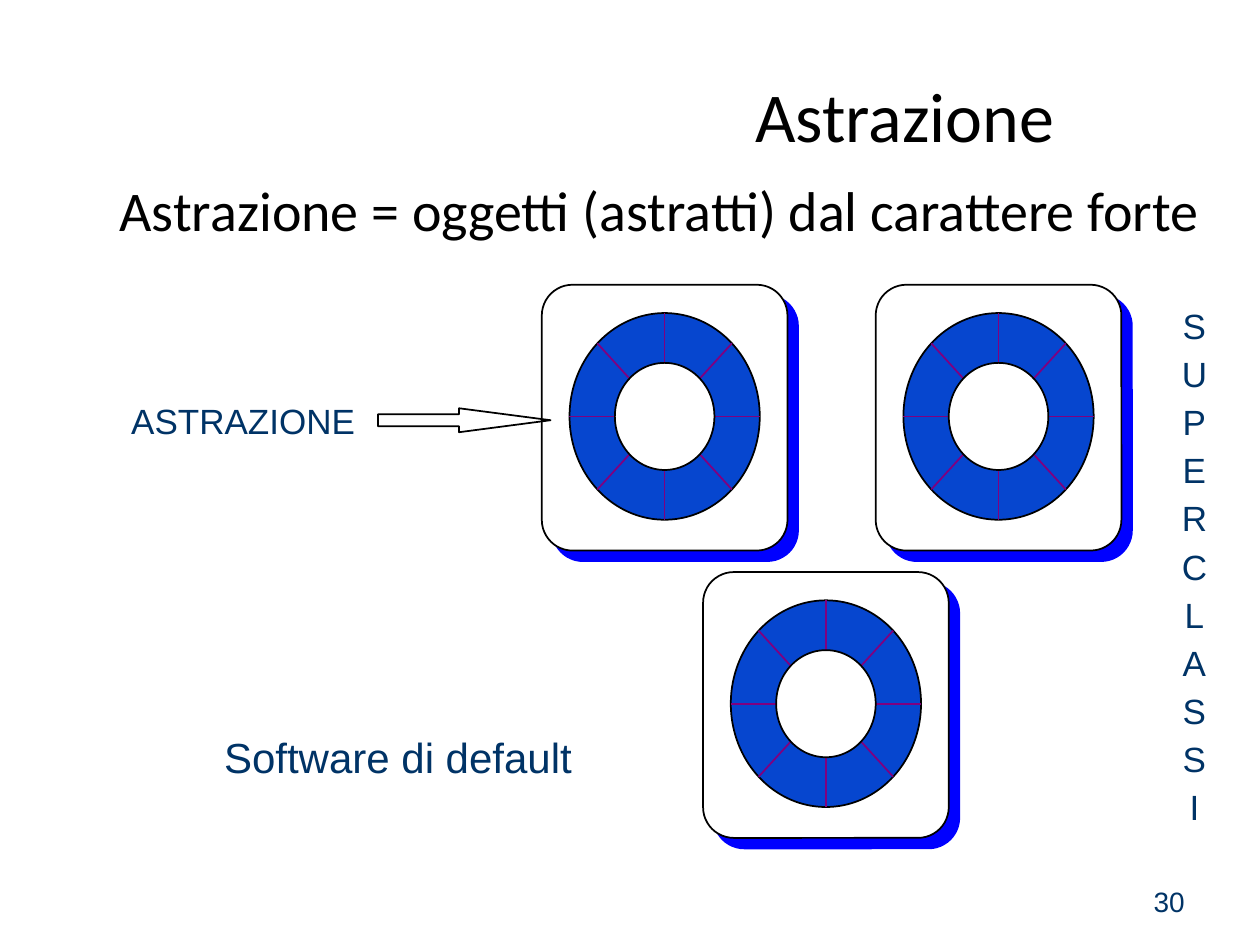
from math import cos, pi, sin

from lxml.etree import SubElement
from pptx import Presentation
from pptx.dml.color import RGBColor
from pptx.enum.shapes import MSO_CONNECTOR, MSO_SHAPE
from pptx.enum.text import MSO_ANCHOR, PP_ALIGN
from pptx.oxml.ns import qn
from pptx.util import Inches, Pt

COLORS = {
    "black": "000000",
    "white": "FFFFFF",
    "navy": "003366",
    "ring": "0646CF",
    "spoke": "800080",
    "shadow": "0000FF",
}
CARD_W, CARD_H = 1.95, 2.11
OUTER_RX, OUTER_RY = 0.755, 0.82
INNER_RX, INNER_RY = 0.395, 0.425
CARD_CORNERS = [(4.3, 2.26), (6.95, 2.26), (5.58, 4.54)]


def rgb(name):
    return RGBColor.from_string(COLORS[name])


def write(frame, lines, size, color="navy", font="Arial",
          align=PP_ALIGN.LEFT, line_spacing=None, gap=0):
    """Fill a text frame, one paragraph per line."""
    frame.word_wrap = True
    for index, line in enumerate(lines):
        paragraph = frame.paragraphs[0] if index == 0 else frame.add_paragraph()
        paragraph.alignment = align
        paragraph.line_spacing = line_spacing
        paragraph.space_before = Pt(gap if index else 0)
        run = paragraph.add_run()
        run.text = line
        run.font.name = font
        run.font.size = Pt(size)
        run.font.color.rgb = rgb(color)


def add_label(slide, box, lines, size, anchor=MSO_ANCHOR.TOP, **style):
    frame = slide.shapes.add_textbox(*map(Inches, box)).text_frame
    frame.vertical_anchor = anchor
    write(frame, lines, size, **style)


def add_outlined(shapes, kind, box, fill=None):
    """Add a preset shape with a thin black outline."""
    outlined = shapes.add_shape(kind, *map(Inches, box))
    outlined.shadow.inherit = False
    if fill:
        outlined.fill.solid()
        outlined.fill.fore_color.rgb = rgb(fill)
    else:
        outlined.fill.background()
    outlined.line.color.rgb = rgb("black")
    outlined.line.width = Pt(1)
    return outlined


def add_ellipse(shapes, cx, cy, rx, ry, fill):
    add_outlined(shapes, MSO_SHAPE.OVAL, (cx - rx, cy - ry, 2 * rx, 2 * ry), fill)


def add_hard_shadow(card):
    effects = card._element.spPr.find(qn("a:effectLst"))
    shadow = SubElement(effects, qn("a:outerShdw"), dist=str(Pt(8.5)),
                        dir="2700000", algn="ctr", rotWithShape="0")
    SubElement(shadow, qn("a:srgbClr"), val=COLORS["shadow"])


def add_spoke(shapes, start, end):
    spoke = shapes.add_connector(MSO_CONNECTOR.STRAIGHT, *map(Inches, start + end))
    spoke.line.color.rgb = rgb("spoke")
    spoke.line.width = Pt(1)
    SubElement(spoke._element.spPr, qn("a:effectLst"))


def add_object_card(slide, left, top):
    """Rounded card holding a ring cut into eight sectors."""
    shapes = slide.shapes.add_group_shape().shapes
    card = add_outlined(shapes, MSO_SHAPE.ROUNDED_RECTANGLE,
                        (left, top, CARD_W, CARD_H), "white")
    card.adjustments[0] = 0.125
    add_hard_shadow(card)

    cx, cy = left + CARD_W / 2, top + CARD_H / 2 - 0.01
    add_ellipse(shapes, cx, cy, OUTER_RX, OUTER_RY, "ring")
    for step in range(8):
        dx, dy = cos(step * pi / 4), sin(step * pi / 4)
        add_spoke(shapes, (cx + INNER_RX * dx, cy + INNER_RY * dy),
                  (cx + OUTER_RX * dx, cy + OUTER_RY * dy))
    add_ellipse(shapes, cx, cy, INNER_RX, INNER_RY, "white")


def add_title(slide, text):
    title = slide.shapes.title
    title.left, title.top = Inches(4.37), Inches(0.6)
    title.width, title.height = Inches(5.62), Inches(0.61)
    title.text_frame.vertical_anchor = MSO_ANCHOR.MIDDLE
    write(title.text_frame, [text], 40, color="black", font="Calibri",
          align=PP_ALIGN.CENTER)


def main():
    deck = Presentation()
    deck.slide_width, deck.slide_height = Inches(10), Inches(7.5)
    slide = deck.slides.add_slide(deck.slide_layouts[5])

    # Page number, title and definition
    add_label(slide, (7.17, 6.95, 2.33, 0.4), ["30"], 16,
              anchor=MSO_ANCHOR.MIDDLE, align=PP_ALIGN.RIGHT)
    add_title(slide, "Astrazione")
    add_label(slide, (0.85, 1.34, 9.15, 0.7),
              ["Astrazione = oggetti (astratti) dal carattere forte"], 32,
              color="black", font="Calibri")

    # Abstract objects
    for left, top in CARD_CORNERS:
        add_object_card(slide, left, top)

    # Pointer to the first object
    add_label(slide, (0.82, 3.16, 2.22, 0.49), ["ASTRAZIONE"], 20,
              align=PP_ALIGN.CENTER, line_spacing=0.9)
    pointer = add_outlined(slide.shapes, MSO_SHAPE.RIGHT_ARROW, (3, 3.24, 1.37, 0.19))
    pointer.adjustments[0] = 0.5
    pointer.adjustments[1] = 3.82

    # Side and bottom captions
    add_label(slide, (9.26, 2.43, 0.44, 4.43), "SUPERCLASSI", 20,
              align=PP_ALIGN.CENTER, line_spacing=0.8, gap=8.3)
    add_label(slide, (1.68, 5.8, 6.21, 0.49), ["Software di default"], 24,
              line_spacing=0.9)

    deck.save("out.pptx")


if __name__ == "__main__":
    main()
